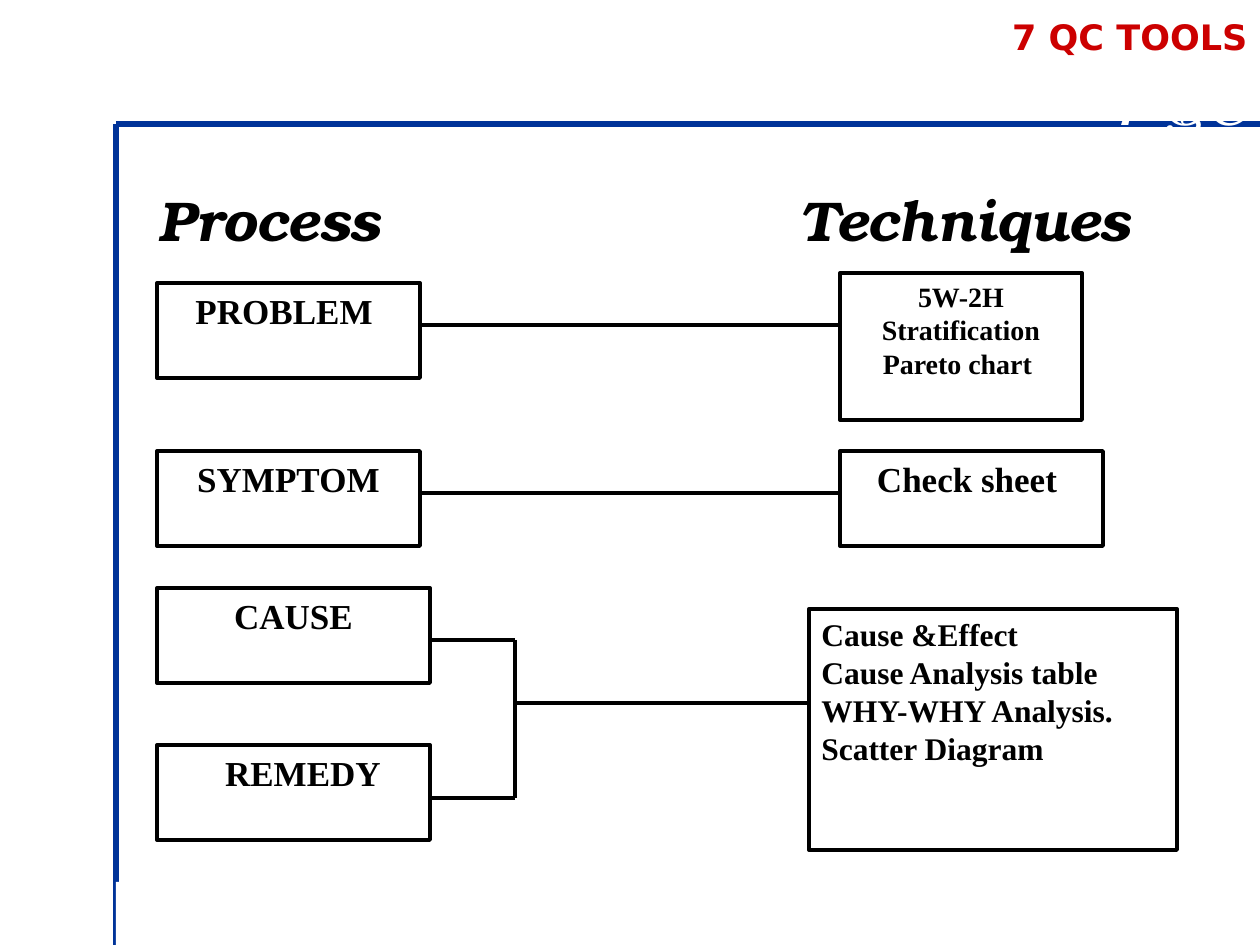
from lxml.etree import SubElement
from pptx import Presentation
from pptx.dml.color import RGBColor as RGB
from pptx.enum.shapes import MSO_CONNECTOR as Conn, MSO_SHAPE as Shape
from pptx.enum.text import MSO_ANCHOR as Anchor, PP_ALIGN as Align
from pptx.oxml.ns import qn
from pptx.util import Emu, Pt


class Theme:
    ink = RGB(0, 0, 0)
    paper = RGB(255, 255, 255)
    red = RGB(204, 0, 0)
    blue = RGB(0, 51, 153)
    serif = "Times New Roman"
    sans = "DejaVu Sans"
    bonum = "TeX Gyre Bonum"
    small, mid, label, head = 16, 18, 20, 32
    thin, thick = 2.25, 3


SCALE = 914400 / 126


def write(shape, text, size=Theme.label, font=Theme.serif, color=Theme.ink,
          align=Align.LEFT, bold=True, italic=False, indent=0, tab=0):
    """Fill a shape with one paragraph per line; indent and tab are in px."""
    frame = shape.text_frame
    frame.word_wrap = True
    frame.vertical_anchor = Anchor.TOP
    for i, line in enumerate(text.split("\n")):
        para = frame.add_paragraph() if i else frame.paragraphs[0]
        para.alignment = align
        props = para._p.get_or_add_pPr()
        if indent:
            props.set("marL", str(round(indent * SCALE)))
        if tab:
            stops = SubElement(props, qn("a:tabLst"))
            SubElement(stops, qn("a:tab"), pos=str(round(tab * SCALE)), algn="l")
        run = para.add_run()
        run.text = line
        face = run.font
        face.name, face.size = font, Pt(size)
        face.bold, face.italic = bold, italic
        face.color.rgb = color


def draw(x1, y1, x2, y2, color=Theme.ink, width=Theme.thin):
    ends = [Emu(round(v * SCALE)) for v in (x1, y1, x2, y2)]
    line = shapes.add_connector(Conn.STRAIGHT, *ends)
    line.line.color.rgb = color
    line.line.width = Pt(width)
    SubElement(line._element.spPr, qn("a:effectLst"))


deck = Presentation()
deck.slide_width = Emu(round(1260 * SCALE))
deck.slide_height = Emu(round(945 * SCALE))
shapes = deck.slides.add_slide(deck.slide_layouts[6]).shapes

# Frame lines
draw(116, 124, 116, 945, Theme.blue, Theme.thick)
draw(116, 124, 1260, 124, Theme.blue, Theme.thick)

# Headings
heads = [
    ((977, 9, 283, 55), "7 QC TOOLS",
     dict(font=Theme.sans, color=Theme.red, align=Align.RIGHT)),
    ((189, 63, 1071, 157), "7 QC",
     dict(size=Theme.head, font=Theme.bonum, color=Theme.paper,
          align=Align.RIGHT, bold=False, italic=True)),
    ((147, 179, 1071, 703), "Process\tTechniques",
     dict(size=Theme.head, font=Theme.bonum, italic=True, tab=640)),
]
for area, text, style in heads:
    place = [Emu(round(v * SCALE)) for v in area]
    write(shapes.add_textbox(*place), text, **style)

# Process steps on the left, techniques on the right, white foot last
mid = dict(align=Align.CENTER)
boxes = [
    ((157, 283, 263, 95), "PROBLEM ", mid),
    ((157, 451, 263, 95), "SYMPTOM", mid),
    ((157, 588, 273, 95), "CAUSE", mid),
    ((157, 745, 273, 95), "REMEDY", dict(mid, indent=19)),
    ((840, 273, 242, 147), "5W-2H Stratification\nPareto chart ",
     dict(mid, size=Theme.small)),
    ((840, 451, 263, 95), "Check sheet ", mid),
    ((809, 609, 368, 241),
     "Cause &Effect\nCause Analysis table\nWHY-WHY Analysis.\nScatter Diagram",
     dict(size=Theme.mid)),
    ((116, 882, 1144, 63), "", {}),
]
for area, text, style in boxes:
    place = [Emu(round(v * SCALE)) for v in area]
    box = shapes.add_shape(Shape.RECTANGLE, *place)
    box.shadow.inherit = False
    box.fill.solid()
    box.fill.fore_color.rgb = Theme.paper
    if text:
        box.line.color.rgb = Theme.ink
        box.line.width = Pt(Theme.thin)
        write(box, text, **style)
    else:
        box.line.fill.background()

# Links from step to technique; cause and remedy share a bracket
for y in (325, 493):
    draw(420, y, 840, y)
for y in (640, 798):
    draw(430, y, 515, y)
draw(515, 640, 515, 798)
draw(515, 703, 809, 703)

deck.save("out.pptx")
